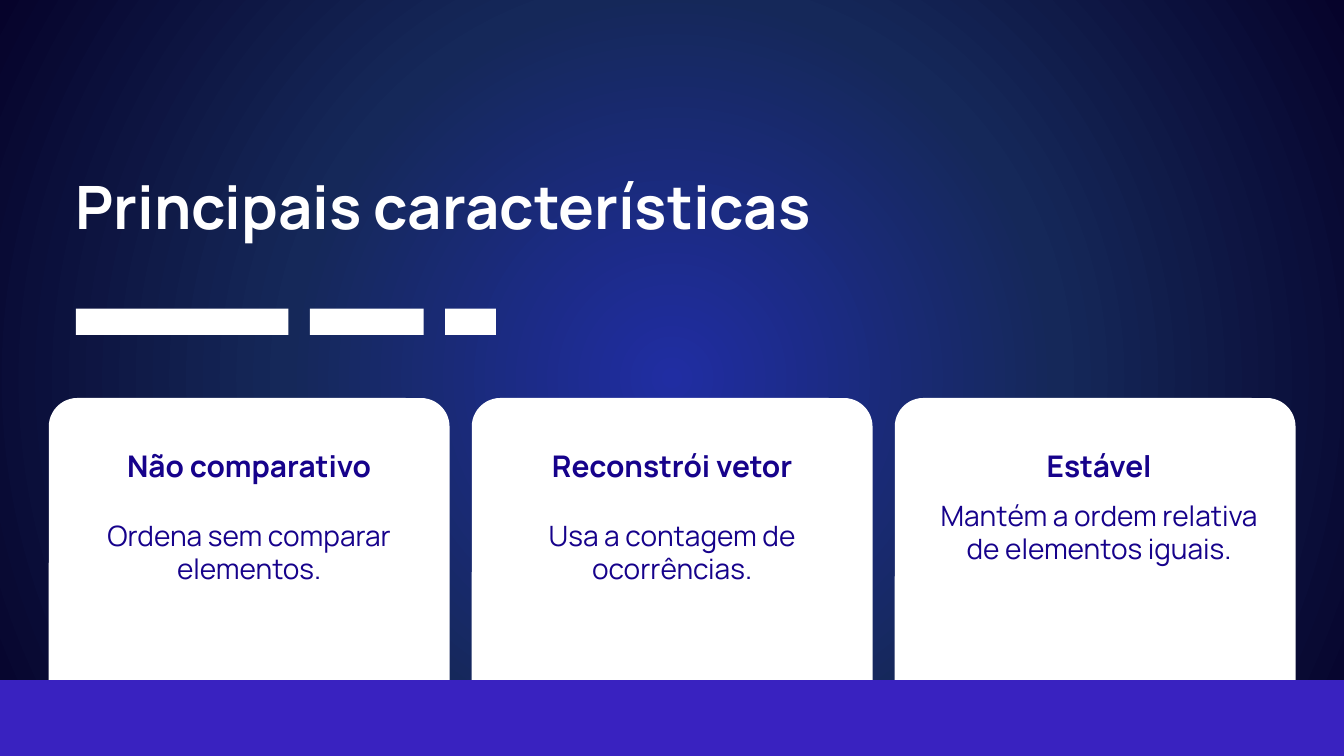
import pptx
import pptx.dml.color
import pptx.enum.shapes
import pptx.enum.text
import pptx.oxml
import pptx.oxml.ns
import pptx.util

Cm, Pt = pptx.util.Cm, pptx.util.Pt
SHAPE = pptx.enum.shapes.MSO_SHAPE
ALIGN = pptx.enum.text.PP_ALIGN
WHITE, NAVY, VIOLET = "FFFFFF", "16028B", "3922C0"


def add_block(kind, left, top, width, height, color):
    block = slide.shapes.add_shape(kind, Cm(left), Cm(top), Cm(width), Cm(height))
    block.shadow.inherit = False
    block.fill.solid()
    block.fill.fore_color.rgb = pptx.dml.color.RGBColor.from_string(color)
    block.line.fill.background()
    return block


def write(box, text, color, size, spacing, bold, align):
    frame = box.text_frame
    frame_format = {
        "margin_left": 0, "margin_top": 0, "margin_right": 0, "margin_bottom": 0,
        "word_wrap": True,
        "auto_size": pptx.enum.text.MSO_AUTO_SIZE.NONE,
        "vertical_anchor": pptx.enum.text.MSO_ANCHOR.TOP,
    }
    for name, value in frame_format.items():
        setattr(frame, name, value)
    frame.text = text
    paragraph = frame.paragraphs[0]
    paragraph.alignment = align
    paragraph.line_spacing = Pt(spacing)
    paragraph.space_before = Pt(0)
    font_format = {"name": "Manrope", "size": Pt(size), "bold": bold}
    for name, value in font_format.items():
        setattr(paragraph.font, name, value)
    paragraph.font.color.rgb = pptx.dml.color.RGBColor.from_string(color)


deck = pptx.Presentation()
deck.slide_width, deck.slide_height = Cm(33.87), Cm(19.05)
slide = deck.slides.add_slide(deck.slide_layouts[5])

# Background: radial glow from the centre
slide.background.fill.gradient()
glow = slide.element.find(".//" + pptx.oxml.ns.qn("a:gradFill"))
stops = "".join(
    f'<a:gs pos="{position}"><a:srgbClr val="{color}"/></a:gs>'
    for position, color in ((0, "202DA2"), (50000, "152859"), (100000, "06032B"))
)
glow.getparent().replace(glow, pptx.oxml.parse_xml(
    f'<a:gradFill {pptx.oxml.ns.nsdecls("a")} rotWithShape="1"><a:gsLst>{stops}</a:gsLst>'
    '<a:path path="circle"><a:fillToRect l="50000" t="50000" r="50000" b="50000"/></a:path>'
    "</a:gradFill>"
))

# Title
title = slide.shapes.title
title_place = {"left": Cm(1.91), "top": Cm(4.27), "width": Cm(21.44), "height": Cm(1.83)}
for name, value in title_place.items():
    setattr(title, name, value)
write(title, "Principais características", WHITE, 42.7, 51.2, True, ALIGN.LEFT)

# Dashes under the title
dash_left = 1.91
for dash_width in (5.36, 2.87, 1.28):
    add_block(SHAPE.RECTANGLE, dash_left, 7.78, dash_width, 0.66, WHITE)
    dash_left += dash_width + 0.54

# Cards: heading, description, top of description, shift of text from card centre
cards = (
    ("Não comparativo", "Ordena sem comparar elementos.", 13.06, 0),
    ("Reconstrói vetor", "Usa a contagem de ocorrências.", 13.06, 0),
    ("Estável", "Mantém a ordem relativa de elementos iguais.", 12.55, 0.1),
)
CARD_WIDTH, CARD_HEIGHT, CARD_PITCH, TEXT_WIDTH = 10.1, 9.02, 10.66, 8.54
for index, (heading, description, description_top, shift) in enumerate(cards):
    card_left = 1.23 + index * CARD_PITCH
    card = add_block(SHAPE.ROUNDED_RECTANGLE, card_left, 10.03, CARD_WIDTH, CARD_HEIGHT, WHITE)
    card.adjustments[0] = 0.08
    text_left = card_left + (CARD_WIDTH - TEXT_WIDTH) / 2 + shift
    for text, top, height, size, spacing, bold in (
        (heading, 11.28, 0.91, 21.3, 25.6, True),
        (description, description_top, 1.75, 20, 24, False),
    ):
        box = slide.shapes.add_textbox(Cm(text_left), Cm(top), Cm(TEXT_WIDTH), Cm(height))
        write(box, text, NAVY, size, spacing, bold, ALIGN.CENTER)

# Bottom band over the feet of the cards
add_block(SHAPE.RECTANGLE, 0, 17.14, 33.87, 1.91, VIOLET)

deck.save("out.pptx")
